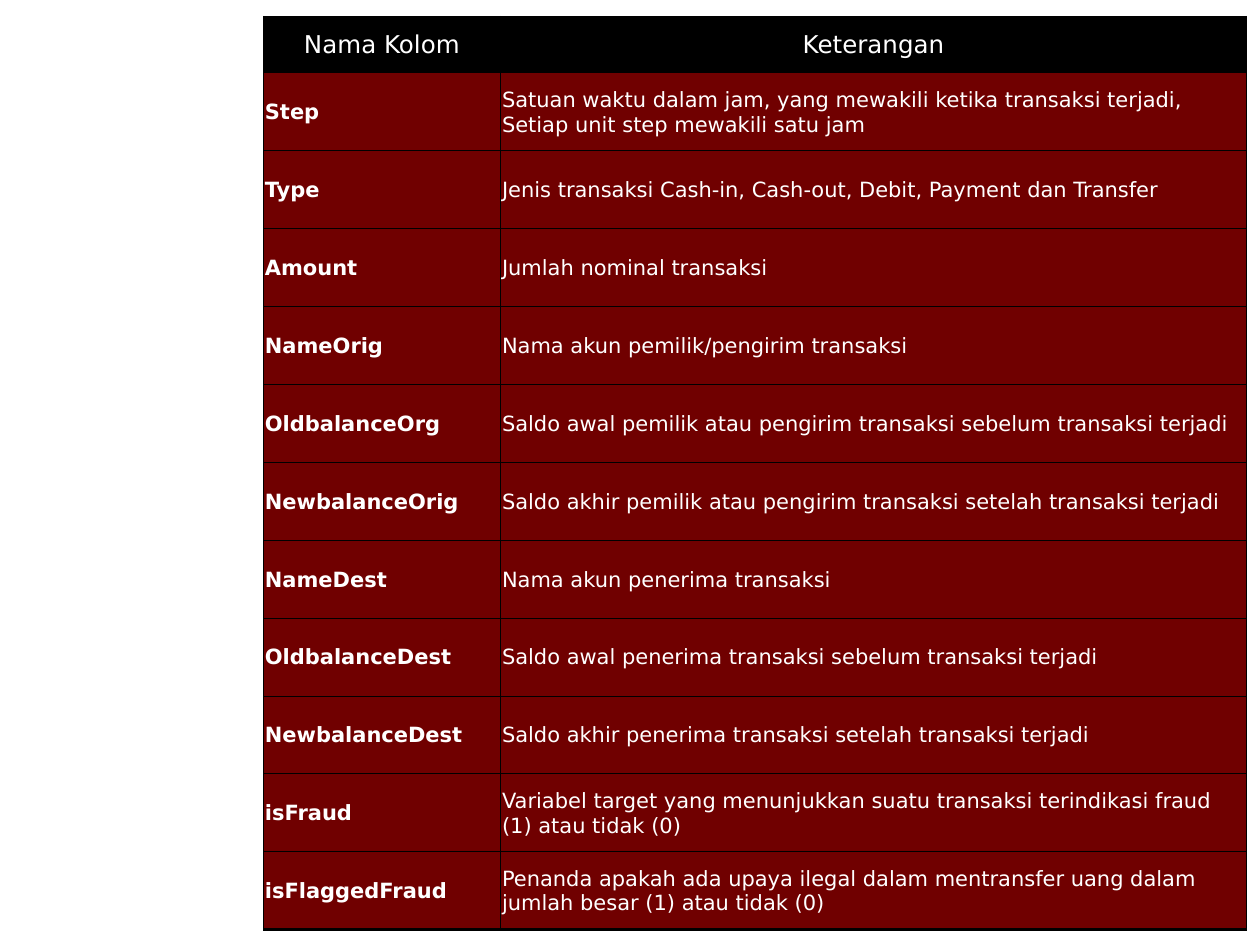
import dataclasses

import lxml.etree
import pptx
import pptx.dml.color
import pptx.enum.text
import pptx.oxml.ns
import pptx.table
import pptx.util

Cm = pptx.util.Cm
Pt = pptx.util.Pt

COLORS = {"header": "000000", "body": "700000", "text": "FFFFFF", "border": "000000"}
FONT_NAME = "DejaVu Sans"
HEADER_HEIGHT = Cm(1.14)
BODY_HEIGHT = Cm(1.57)
COLUMN_WIDTHS = (Cm(4.78), Cm(15.04))
THIN_BORDER = Pt(0.5)
THICK_BORDER = Pt(2)
CELL_FORMAT = {
    "margin_left": Cm(0.03),
    "margin_top": Cm(0.03),
    "margin_right": Cm(0.03),
    "margin_bottom": Cm(0),
    "vertical_anchor": pptx.enum.text.MSO_ANCHOR.MIDDLE,
}


@dataclasses.dataclass(frozen=True)
class Field:
    name: str
    meaning: str


@dataclasses.dataclass(frozen=True)
class CellStyle:
    fill: str
    size: int
    bold: bool
    align: pptx.enum.text.PP_ALIGN


HEADER_STYLE = CellStyle("header", 14, False, pptx.enum.text.PP_ALIGN.CENTER)
NAME_STYLE = CellStyle("body", 12, True, pptx.enum.text.PP_ALIGN.LEFT)
MEANING_STYLE = CellStyle("body", 12, False, pptx.enum.text.PP_ALIGN.LEFT)

HEADER = Field("Nama Kolom", "Keterangan")
FIELDS = (
    Field("Step", "Satuan waktu dalam jam, yang mewakili ketika transaksi terjadi, Setiap unit step mewakili satu jam"),
    Field("Type", "Jenis transaksi Cash-in, Cash-out, Debit, Payment dan Transfer"),
    Field("Amount", "Jumlah nominal transaksi"),
    Field("NameOrig", "Nama akun pemilik/pengirim transaksi"),
    Field("OldbalanceOrg", "Saldo awal pemilik atau pengirim transaksi sebelum transaksi terjadi"),
    Field("NewbalanceOrig", "Saldo akhir pemilik atau pengirim transaksi setelah transaksi terjadi"),
    Field("NameDest", "Nama akun penerima transaksi"),
    Field("OldbalanceDest", "Saldo awal penerima transaksi sebelum transaksi terjadi"),
    Field("NewbalanceDest", "Saldo akhir penerima transaksi setelah transaksi terjadi"),
    Field("isFraud", "Variabel target yang menunjukkan suatu transaksi terindikasi fraud (1) atau tidak (0)"),
    Field("isFlaggedFraud", "Penanda apakah ada upaya ilegal dalam mentransfer uang dalam jumlah besar (1) atau tidak (0)"),
)


def rgb(key: str) -> pptx.dml.color.RGBColor:
    return pptx.dml.color.RGBColor.from_string(COLORS[key])


def draw_borders(cell: pptx.table._Cell, bottom_width: int) -> None:
    qn = pptx.oxml.ns.qn
    properties = cell._tc.get_or_add_tcPr()
    widths = {"lnL": THIN_BORDER, "lnR": THIN_BORDER, "lnT": THIN_BORDER, "lnB": bottom_width}
    for side, width in widths.items():
        line = lxml.etree.SubElement(properties, qn(f"a:{side}"), w=str(int(width)))
        fill = lxml.etree.SubElement(line, qn("a:solidFill"))
        lxml.etree.SubElement(fill, qn("a:srgbClr"), val=COLORS["border"])


def draw_cell(cell: pptx.table._Cell, text: str, style: CellStyle, bottom_width: int) -> None:
    for attribute, value in CELL_FORMAT.items():
        setattr(cell, attribute, value)
    draw_borders(cell, bottom_width)
    cell.fill.solid()
    cell.fill.fore_color.rgb = rgb(style.fill)
    paragraph = cell.text_frame.paragraphs[0]
    paragraph.alignment = style.align
    run = paragraph.add_run()
    run.text = text
    font_format = {"name": FONT_NAME, "size": Pt(style.size), "bold": style.bold}
    for attribute, value in font_format.items():
        setattr(run.font, attribute, value)
    run.font.color.rgb = rgb("text")


def draw_row(
    table: pptx.table.Table,
    index: int,
    field: Field,
    styles: tuple[CellStyle, CellStyle],
    bottom_width: int = THIN_BORDER,
) -> None:
    for column, (text, style) in enumerate(zip((field.name, field.meaning), styles)):
        draw_cell(table.cell(index, column), text, style, bottom_width)


def main() -> None:
    presentation = pptx.Presentation()
    presentation.slide_width = Cm(25.4)
    presentation.slide_height = Cm(19.05)
    slide = presentation.slides.add_slide(presentation.slide_layouts[6])

    heights = [HEADER_HEIGHT] + [BODY_HEIGHT] * len(FIELDS)
    dictionary = slide.shapes.add_table(
        len(heights), len(COLUMN_WIDTHS), Cm(5.31), Cm(0.33), sum(COLUMN_WIDTHS), sum(heights)
    ).table
    for column, width in zip(dictionary.columns, COLUMN_WIDTHS):
        column.width = width
    for row, height in zip(dictionary.rows, heights):
        row.height = height

    draw_row(dictionary, 0, HEADER, (HEADER_STYLE, HEADER_STYLE))
    for index, field in enumerate(FIELDS, start=1):
        bottom_width = THICK_BORDER if index == len(FIELDS) else THIN_BORDER
        draw_row(dictionary, index, field, (NAME_STYLE, MEANING_STYLE), bottom_width)

    presentation.save("out.pptx")


if __name__ == "__main__":
    main()
